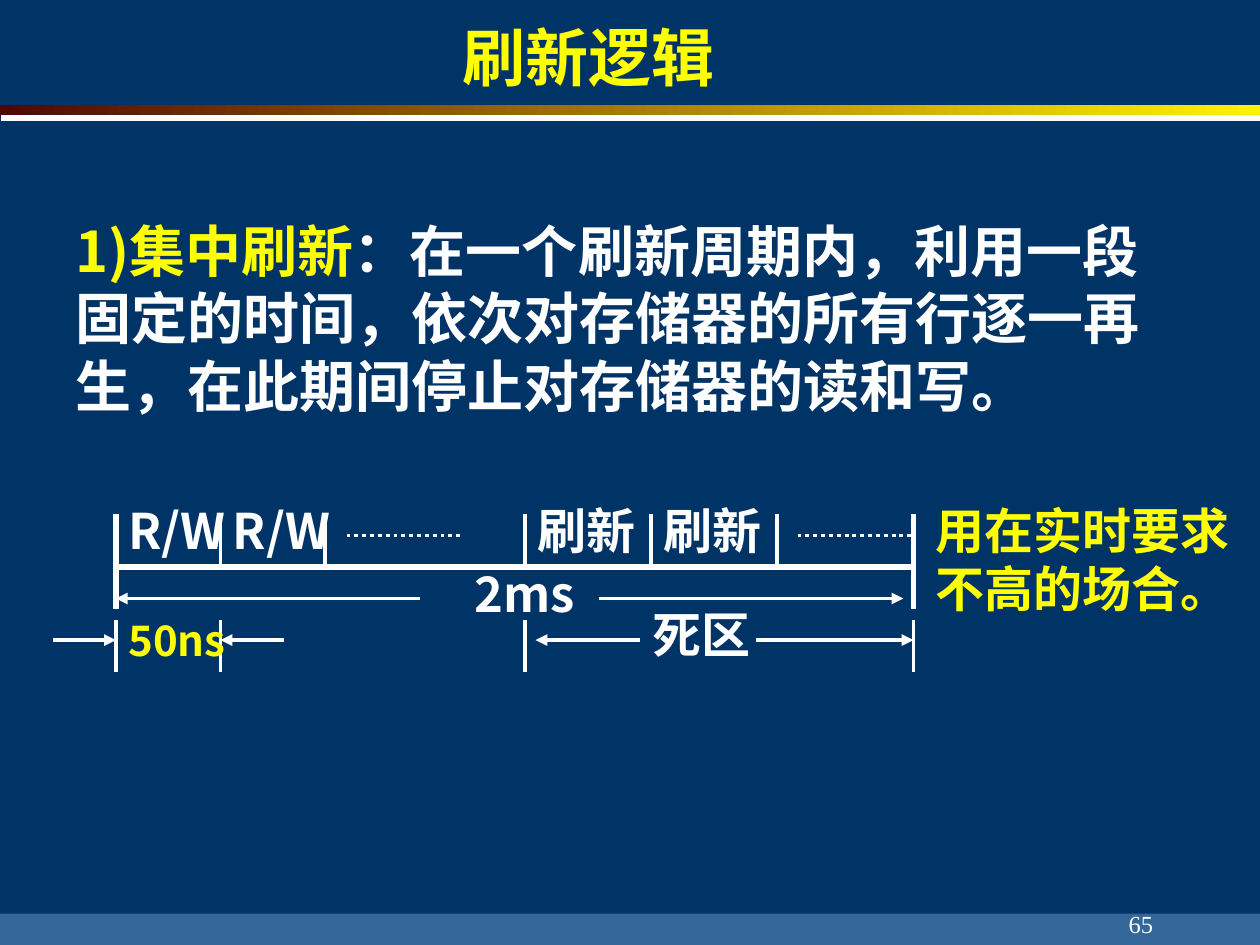
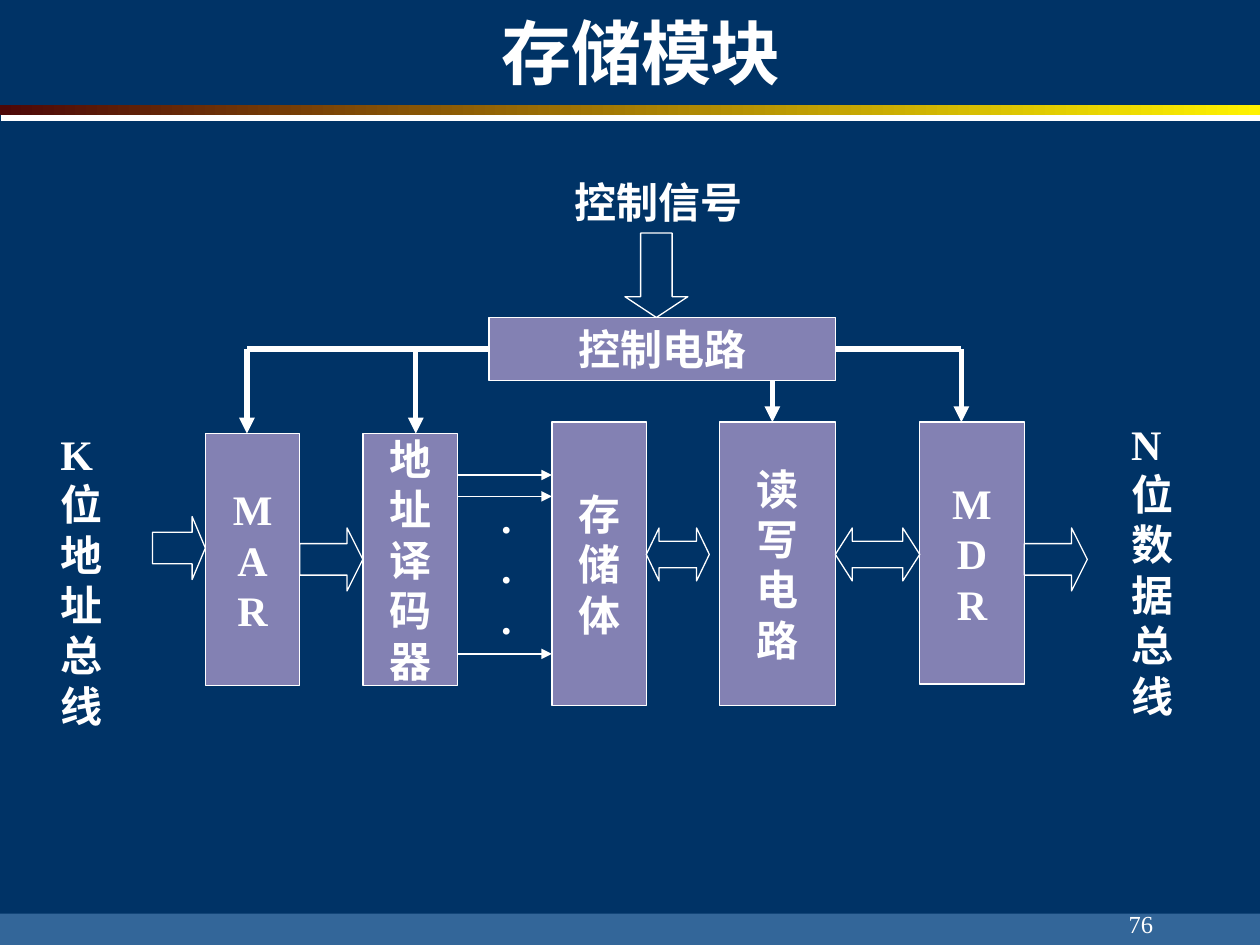
from lxml import etree
from pptx import Presentation
from pptx.dml.color import RGBColor
from pptx.enum import dml, shapes, text
from pptx.oxml import ns
from pptx.util import Inches, Pt

NAVY, STEEL, VIOLET = "003366", "336699", "8381B3"
WHITE, YELLOW, MAROON, GOLD = "FFFFFF", "FFFF00", "4D0808", "FFF200"
SANS, SERIF = "Noto Sans CJK SC", "Times New Roman"
SHAPE, ALIGN, ANCHOR = shapes.MSO_SHAPE, text.PP_ALIGN, text.MSO_ANCHOR


def colour(hex_string):
    return RGBColor.from_string(hex_string)


def add_run(paragraph, words, size, hue, font=SANS, bold=True):
    run = paragraph.add_run()
    run.text = words
    run.font.size = Pt(size)
    run.font.bold = bold
    run.font.name = font
    run.font.color.rgb = colour(hue)
    east_asian = etree.SubElement(run.font._element, ns.qn("a:ea"))
    east_asian.set("typeface", SANS)


class Region:
    def __init__(self, slide, left, top):
        self.shapes, self.left, self.top = slide.shapes, left, top

    def place(self, x, y):
        return Inches(self.left + x), Inches(self.top + y)

    def label(self, x, y, width, height, runs, size, font=SANS, bold=True,
              align=ALIGN.LEFT, anchor=ANCHOR.TOP):
        box = self.shapes.add_textbox(*self.place(x, y), Inches(width), Inches(height))
        frame = box.text_frame
        frame.word_wrap = True
        frame.vertical_anchor = anchor
        frame.paragraphs[0].alignment = align
        for words, hue in runs:
            add_run(frame.paragraphs[0], words, size, hue, font, bold)

    def shape(self, kind, x, y, width, height, fill=None, outline=None):
        item = self.shapes.add_shape(kind, *self.place(x, y), Inches(width), Inches(height))
        item.shadow.inherit = False
        if fill:
            item.fill.solid()
            item.fill.fore_color.rgb = colour(fill)
        else:
            item.fill.background()
        if outline:
            item.line.color.rgb = colour(outline)
            item.line.width = Pt(0.75)
        else:
            item.line.fill.background()
        return item

    def block(self, x, y, width, height, lines):
        item = self.shape(SHAPE.RECTANGLE, x, y, width, height, VIOLET, WHITE)
        frame = item.text_frame
        frame.word_wrap = False
        frame.vertical_anchor = ANCHOR.MIDDLE
        for index, line in enumerate(lines):
            paragraph = frame.add_paragraph() if index else frame.paragraphs[0]
            paragraph.alignment = ALIGN.CENTER
            add_run(paragraph, line, 24, WHITE, SERIF)
        return item

    def block_arrow(self, kind, x, y, width, height, head):
        arrow = self.shape(kind, x, y, width, height, outline=WHITE)
        arrow.adjustments[0] = 0.5
        arrow.adjustments[1] = head

    def line(self, x1, y1, x2, y2, weight=2.25, arrow=False, dotted=False):
        line = self.shapes.add_connector(
            shapes.MSO_CONNECTOR.STRAIGHT, *self.place(x1, y1), *self.place(x2, y2))
        line.line.color.rgb = colour(WHITE)
        line.line.width = Pt(weight)
        if dotted:
            line.line.dash_style = dml.MSO_LINE.ROUND_DOT
        if arrow:
            tail = etree.SubElement(line.line._get_or_add_ln(), ns.qn("a:tailEnd"))
            tail.set("type", "triangle")
        etree.SubElement(line._element.spPr, ns.qn("a:effectLst"))
        return line


def add_page(prs, number):
    slide = prs.slides.add_slide(prs.slide_layouts[6])
    page = Region(slide, 0, 0)
    page.shape(SHAPE.RECTANGLE, 0, 7.25, 10, 0.25, STEEL)
    page.shape(SHAPE.RECTANGLE, 0.01, 0.88, 9.99, 0.08, WHITE)
    band = page.shape(SHAPE.RECTANGLE, 0, 0.83, 10, 0.08, MAROON)
    band.fill.gradient()
    band.fill.gradient_angle = 0
    for stop, hue, position in zip(band.fill.gradient_stops, (MAROON, GOLD), (0, 1)):
        stop.color.rgb = colour(hue)
        stop.position = position
    page.label(7.17, 7, 2.08, 0.5, [(number, WHITE)], 14, SERIF, False,
               ALIGN.RIGHT, ANCHOR.BOTTOM)
    return slide


def add_title(slide, left, top, width, title, size, hue):
    Region(slide, left, top).label(0, 0, width, 0.75, [(title, hue)], size)


def add_definition(slide, left, top):
    Region(slide, left, top).label(0, 0, 9.08, 1.7, [
        ("1)集中刷新", YELLOW),
        ("：在一个刷新周期内，利用一段固定的时间，依次对存储器的所有行逐一再生，"
         "在此期间停止对存储器的读和写。", WHITE)], 32)


def add_timeline(slide, left, top):
    timeline = Region(slide, left, top)
    cycle, dead_start, end = 0.83, 3.25, 6.33
    for x in (0, end):
        timeline.line(x, 0, x, 0.75, 3)
    timeline.line(0, 0.42, end, 0.42, 3)
    for index in range(2):
        read_write, refresh = index * cycle, dead_start + index
        timeline.label(read_write, -0.16, 1.42, 0.57, [("R/W", WHITE)], 28)
        timeline.label(refresh, -0.16, 1.42, 0.57, [("刷新", WHITE)], 28)
    for x in (cycle, 2 * cycle, dead_start, dead_start + 1, dead_start + 2):
        timeline.line(x, 0, x, 0.42)
    for x in (1.83, 5.41):
        timeline.line(x, 0.17, x + 0.92, 0.17, dotted=True)
    for x in (0, cycle, dead_start, end):
        timeline.line(x, 0.84, x, 1.25)
    for y, start, stop in ((0.67, 2.41, 0), (0.67, 3.83, 6.25),
                           (1, -0.5, 0), (1, cycle + 0.5, cycle),
                           (1, 4.16, 3.33), (1, 5.08, end)):
        timeline.line(start, y, stop, y, arrow=True)
    timeline.label(2.75, 0.34, 1.42, 0.57, [("2ms", WHITE)], 28)
    timeline.label(4.16, 0.67, 1.42, 0.57, [("死区", WHITE)], 28)
    timeline.label(0, 0.75, 1.42, 0.5, [("50ns", YELLOW)], 24)
    timeline.label(6.41, -0.16, 2.67, 1.04, [("用在实时要求不高的场合。", YELLOW)], 28)


def add_control(slide, left, top):
    control = Region(slide, left, top)
    control.label(2.5, 0, 2.25, 0.5, [("控制信号", WHITE)], 24, SERIF)
    control.block_arrow(SHAPE.DOWN_ARROW, 3, 0.5, 0.5, 0.67, 0.33)
    circuit = control.block(1.92, 1.17, 2.75, 0.5, ["控制电路"])
    bus = 1.42
    for side, start, stop in ((1, 1.92, 0), (3, 4.67, 5.67)):
        control.line(start, bus, stop, bus, 3).begin_connect(circuit, side)
    for x, start, stop in ((0, bus, 2.09), (1.34, bus, 2.09),
                           (4.17, 1.67, 2), (5.67, bus, 2)):
        control.line(x, start, x, stop, 3, arrow=True)


def add_data_flow(slide, left, top):
    flow = Region(slide, left, top)
    for x, y, width, height, name in ((1.25, 0.09, 0.75, 2, "MAR"),
                                      (2.5, 0.09, 0.75, 2, "地址译码器"),
                                      (4, 0, 0.75, 2.25, "存储体"),
                                      (5.33, 0, 0.92, 2.25, "读写电路"),
                                      (6.92, 0, 0.83, 2.08, "MDR")):
        flow.block(x, y, width, height, name)
    for x, y, width in ((0.83, 0.75, 0.42), (2, 0.84, 0.5), (7.75, 0.84, 0.5)):
        flow.block_arrow(SHAPE.RIGHT_ARROW, x, y, width, 0.5, 0.25)
    for x, width, head in ((4.75, 0.5, 0.24), (6.25, 0.67, 0.32)):
        flow.block_arrow(SHAPE.LEFT_RIGHT_ARROW, x, 0.84, width, 0.42, head)
    for y, weight in ((0.42, 0.75), (0.59, 0.75), (1.84, 1.5)):
        flow.line(3.25, y, 4, y, weight, arrow=True)
    for x, y, width, height, name in ((0, 0, 0.58, 2.5, "K位地址总线"),
                                      (3.5, 0.5, 0.2, 1.3, "..."),
                                      (8.5, -0.08, 0.5, 2.9, "N位数据总线")):
        flow.label(x, y, width, height, [(name, WHITE)], 24, SERIF)


def add_refresh_slide(prs):
    slide = add_page(prs, "65")
    add_title(slide, 3.57, 0.1, 2.4, "刷新逻辑", 36, YELLOW)
    add_definition(slide, 0.5, 1.67)
    add_timeline(slide, 0.92, 4.08)


def add_module_slide(prs):
    slide = add_page(prs, "76")
    add_title(slide, 3.88, 0.03, 2.67, "存储模块", 40, WHITE)
    add_control(slide, 1.96, 1.35)
    add_data_flow(slide, 0.38, 3.35)


def main():
    prs = Presentation()
    prs.slide_width, prs.slide_height = Inches(10), Inches(7.5)
    background = prs.slide_master.background.fill
    background.solid()
    background.fore_color.rgb = colour(NAVY)
    add_refresh_slide(prs)
    add_module_slide(prs)
    prs.save("out.pptx")


if __name__ == "__main__":
    main()
